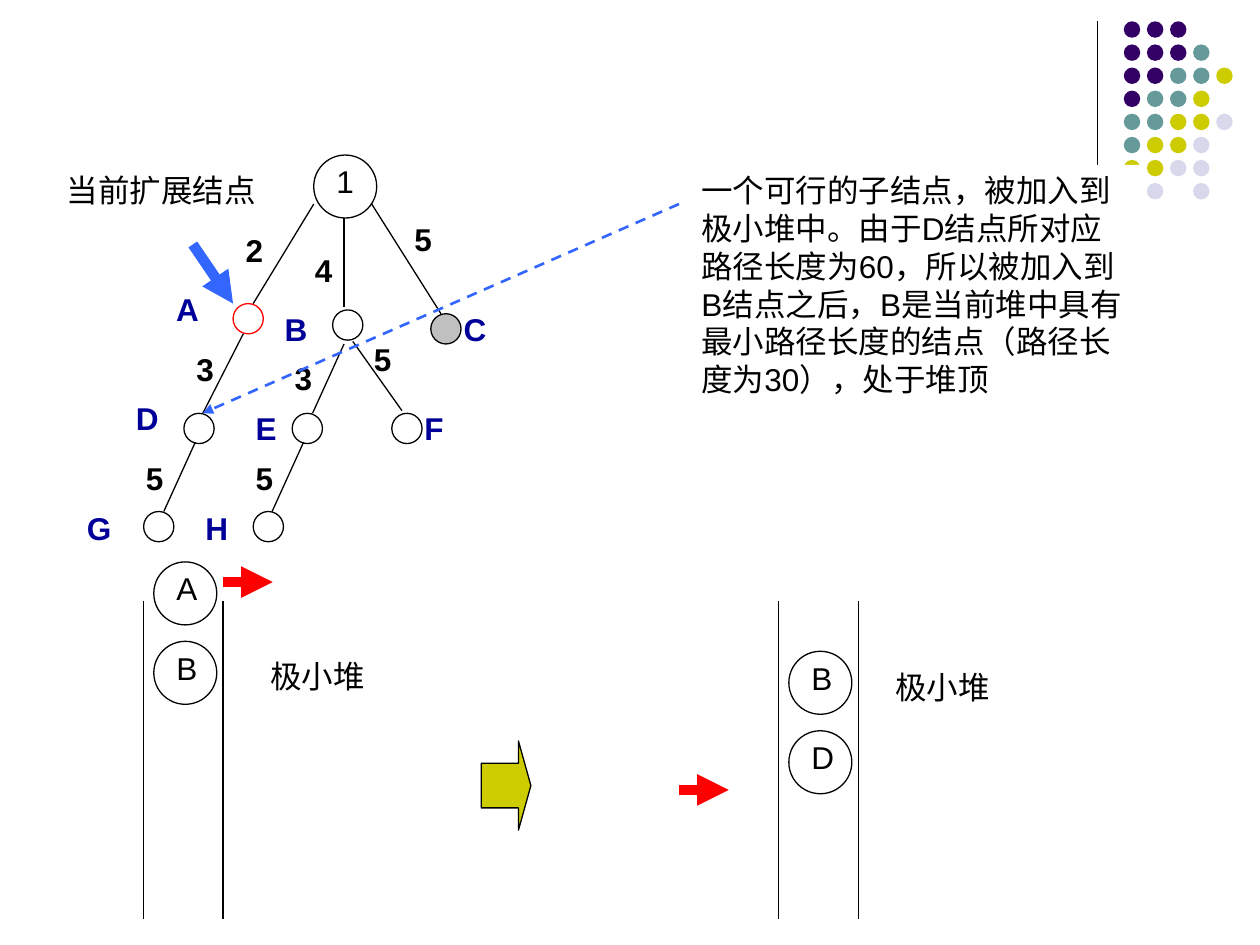
import pptx
import pptx.util
import pptx.dml.color
import pptx.enum.dml
import pptx.enum.shapes
import pptx.enum.text
import pptx.oxml.ns
import lxml.etree

Pt = pptx.util.Pt
SHAPE = pptx.enum.shapes.MSO_SHAPE
BLACK, RED, BLUE, NAVY, OLIVE = "000000", "FF0000", "3366FF", "000099", "CCCC00"


def color(hex_code):
    return pptx.dml.color.RGBColor.from_string(hex_code)


def add_figure(slide, kind, left, top, width, height, fill=None, outline=None):
    figure = slide.shapes.add_shape(kind, Pt(left), Pt(top), Pt(width), Pt(height))
    figure.shadow.inherit = False
    if fill:
        figure.fill.solid()
        figure.fill.fore_color.rgb = color(fill)
    else:
        figure.fill.background()
    if outline:
        figure.line.color.rgb = color(outline)
        figure.line.width = Pt(0.75)
    else:
        figure.line.fill.background()
    return figure


def add_circle(slide, left, top, diameter, fill=None, outline=BLACK):
    return add_figure(slide, SHAPE.OVAL, left, top, diameter, diameter, fill, outline)


def write(frame, wording, ink=BLACK, bold=False, centered=False):
    frame.word_wrap = True
    frame.vertical_anchor = pptx.enum.text.MSO_ANCHOR.TOP
    paragraph = frame.paragraphs[0]
    align = pptx.enum.text.PP_ALIGN
    paragraph.alignment = align.CENTER if centered else align.LEFT
    run = paragraph.add_run()
    run.text = wording
    run.font.name = "Arial"
    run.font.size = Pt(18)
    run.font.bold = bold
    run.font.color.rgb = color(ink)


def add_label(slide, left, top, width, wording, **style):
    label = slide.shapes.add_textbox(Pt(left), Pt(top), Pt(width), Pt(28.8))
    write(label.text_frame, wording, **style)


def add_line(slide, x1, y1, x2, y2, ink=BLACK, weight=0.75, dashed=False, arrow=False):
    line = slide.shapes.add_connector(
        pptx.enum.shapes.MSO_CONNECTOR.STRAIGHT, Pt(x1), Pt(y1), Pt(x2), Pt(y2))
    line.line.color.rgb = color(ink)
    line.line.width = Pt(weight)
    if dashed:
        line.line.dash_style = pptx.enum.dml.MSO_LINE.DASH
    qn = pptx.oxml.ns.qn
    properties = line._element.spPr
    if arrow:
        stroke = properties.find(qn("a:ln"))
        lxml.etree.SubElement(stroke, qn("a:tailEnd"), type="triangle")
    lxml.etree.SubElement(properties, qn("a:effectLst"))


def add_named_circle(slide, left, top, name):
    add_circle(slide, left, top, 36)
    add_label(slide, left + 5.8, top + 0.7, 30.2, name)


def add_corner_dots(slide, left, top):
    palette = {"P": "330066", "T": "669999", "Y": OLIVE, "L": "D8D8EC"}
    rows = ["PPP", "PPPT", "PPTTY", "PTTY", "TTYYL", "TYYL", "YYLL", " L L"]
    pitch = 13.2
    add_line(slide, left, top, left, top + 119.5)
    for row, dots in enumerate(rows):
        for column, dot in enumerate(dots):
            if dot in palette:
                add_circle(slide, left + 15.1 + column * pitch, top + row * pitch,
                           9.4, palette[dot], None)


def add_tree(slide, left, top):
    edges = [
        ("2", 137.3, 28.6, 102.7, 85.5, 91.2, 40.2),
        ("4", 154.6, 36.6, 154.6, 87.7, 130.8, 51.7),
        ("5", 170.4, 28.6, 210, 91.3, 187.7, 34.4),
        ("3", 97, 102.8, 73.9, 148.2, 63.1, 108.6),
        ("3", 154.6, 108.6, 136.6, 148.2, 119.3, 113.6),
        ("5", 159.6, 107.1, 187.7, 146.7, 164.6, 102.8),
        ("5", 69.6, 164.7, 51.6, 204.3, 34.3, 170.5),
        ("5", 131.5, 164.7, 113.5, 204.3, 97, 170.5),
    ]
    nodes = [
        ("A", 91.2, 85.5, 51.6, 74, None, RED),
        ("B", 148.1, 89.1, 113.5, 85.5, None, BLACK),
        ("C", 204.2, 91.3, 215.8, 85.5, "C0C0C0", BLACK),
        ("D", 63.1, 148.2, 28.6, 136.6, None, BLACK),
        ("E", 125, 148.2, 97, 142.4, None, BLACK),
        ("F", 181.9, 148.2, 193.4, 142.4, None, BLACK),
        ("G", 40.1, 204.3, 0.5, 199.3, None, BLACK),
        ("H", 102.7, 204.3, 68.2, 199.3, None, BLACK),
    ]
    add_named_circle(slide, left + 137.3, top + 0.6, "1")
    for cost, x1, y1, x2, y2, cost_x, cost_y in edges:
        add_line(slide, left + x1, top + y1, left + x2, top + y2)
        add_label(slide, left + cost_x, top + cost_y, 30.2, cost, bold=True)
    for name, x, y, name_x, name_y, fill, outline in nodes:
        add_circle(slide, left + x, top + y, 17.3, fill, outline)
        add_label(slide, left + name_x, top + name_y, 39.6, name, ink=NAVY, bold=True)


def add_current_node_pointer(slide, left, top):
    add_line(slide, left + 79.2, top + 45.4, left + 102.2, top + 79.2, BLUE, 6, arrow=True)
    add_label(slide, left, top, 130.3, "当前扩展结点")


def add_note(slide, left, top, width, height):
    add_line(slide, left - 5.8, top + 22.3, left - 277.9, top + 141.8,
             BLUE, 1.5, dashed=True, arrow=True)
    note = add_figure(slide, SHAPE.RECTANGLE, left, top, width, height, "FFFFFF")
    write(note.text_frame,
          "一个可行的子结点，被加入到极小堆中。由于D结点所对应路径长度为60，"
          "所以被加入到B结点之后，B是当前堆中具有最小路径长度的结点"
          "（路径长度为30），处于堆顶")


def add_heap(slide, left, top, width, height, names, first_y, title_at, arrow_at):
    for wall in (left, left + width):
        add_line(slide, wall, top, wall, top + height)
    for index, name in enumerate(names):
        add_named_circle(slide, left + 5.8, top + first_y + index * 45.4, name)
    title_x, title_y = title_at
    add_label(slide, left + title_x, top + title_y, 85, "极小堆", centered=True)
    arrow_x, arrow_y = left + arrow_at[0], top + arrow_at[1]
    add_line(slide, arrow_x, arrow_y, arrow_x + 28.4, arrow_y, RED, 6, arrow=True)


def add_step_arrow(slide, left, top, width, height):
    step = add_figure(slide, SHAPE.RIGHT_ARROW, left, top, width, height, OLIVE, BLACK)
    step.adjustments[0] = 0.5
    step.adjustments[1] = 0.25


def main():
    deck = pptx.Presentation()
    deck.slide_width, deck.slide_height = Pt(720), Pt(540)
    slide = deck.slides.add_slide(deck.slide_layouts[6])
    add_corner_dots(slide, 627.1, 12.2)
    add_tree(slide, 42, 88)
    add_current_node_pointer(slide, 31, 94.3)
    add_note(slide, 393.8, 94.3, 260, 136.8)
    add_heap(slide, 82.1, 343.4, 45.4, 181.5, "AB", -22.3, (56.9, 28.8), (45.4, -10.8))
    add_heap(slide, 445, 343.4, 45.4, 181.5, "BD", 28.8, (51.1, 34.6), (-57, 108))
    add_step_arrow(slide, 275, 423.4, 28.4, 51)
    deck.save("out.pptx")


if __name__ == "__main__":
    main()
